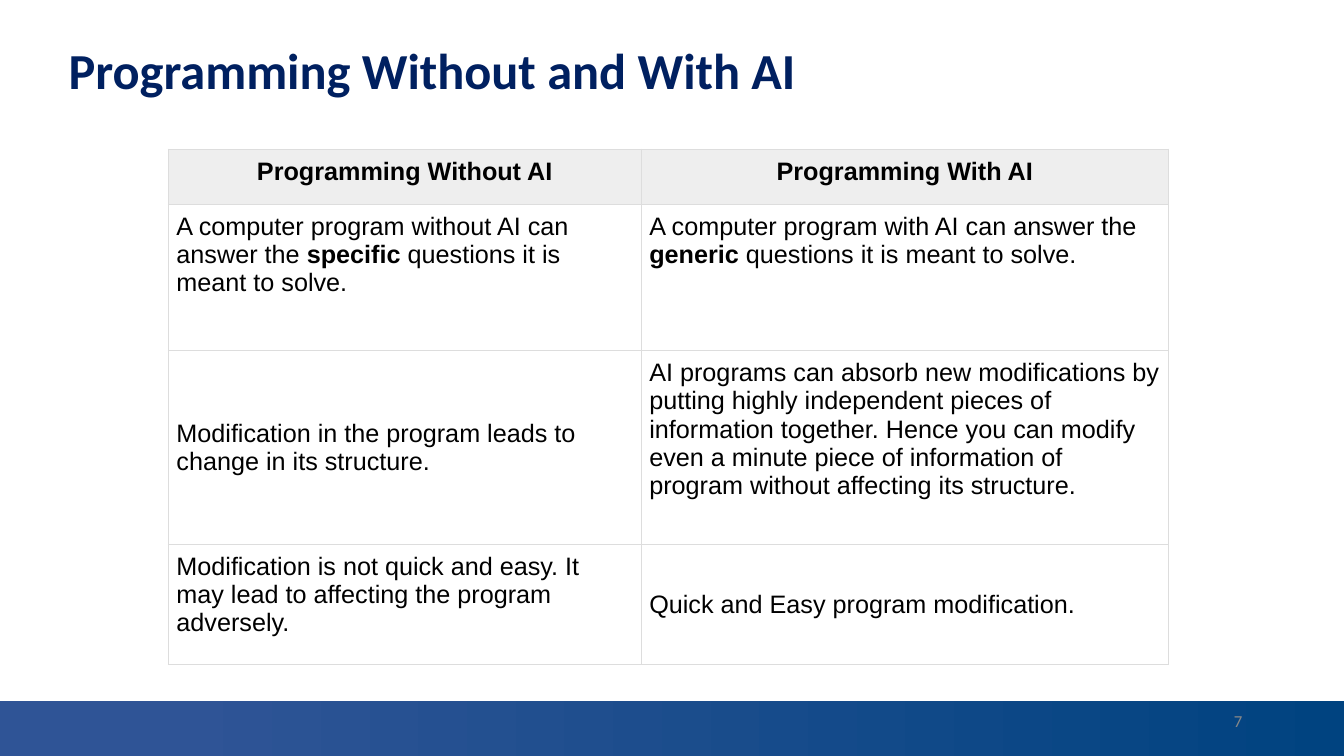
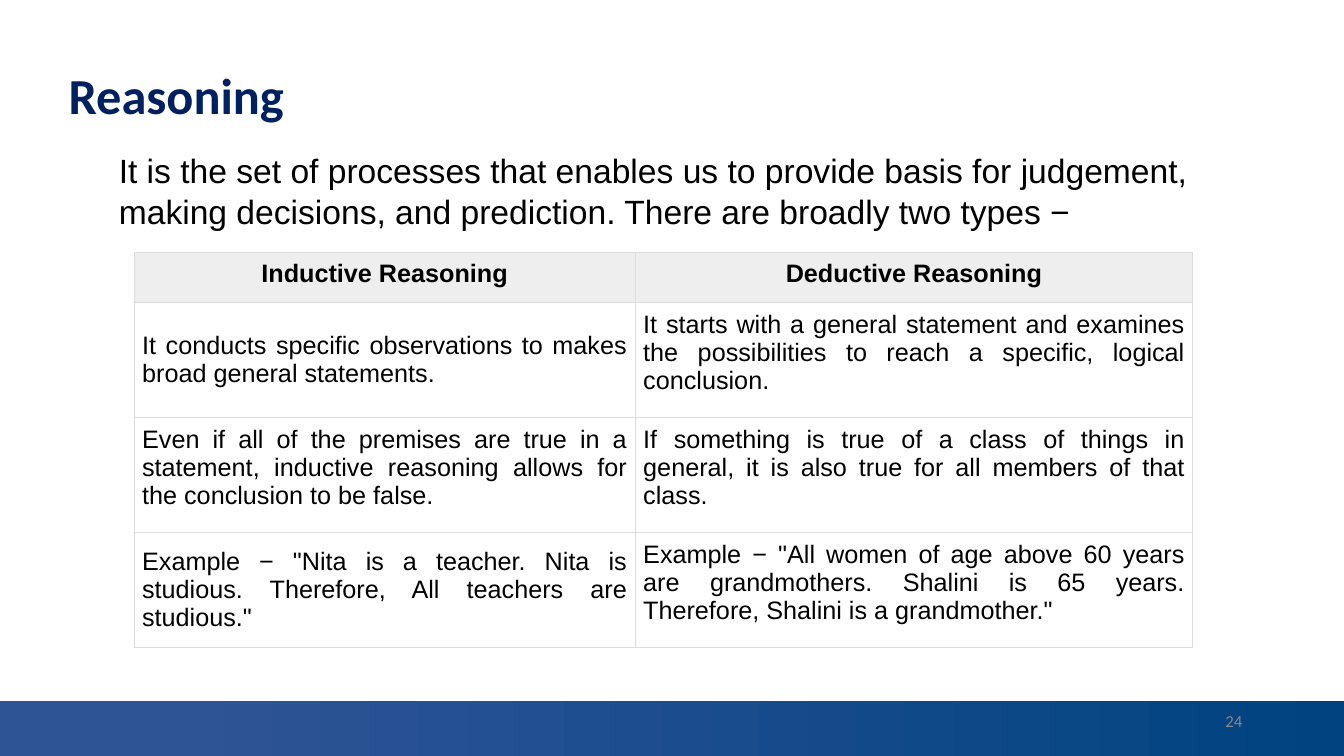
from dataclasses import dataclass

import pptx
import pptx.dml.color
import pptx.enum.shapes
import pptx.enum.text
import pptx.oxml
import pptx.oxml.ns
import pptx.util

Inches, Pt = pptx.util.Inches, pptx.util.Pt
ALIGN = pptx.enum.text.PP_ALIGN
ANCHOR = pptx.enum.text.MSO_ANCHOR


@dataclass(frozen=True)
class Theme:
    heading_font: str = "Calibri"
    text_font: str = "Arial"
    title_color: str = "002060"
    text_color: str = "000000"
    number_color: str = "888888"
    band_start: str = "2F5496"
    band_end: str = "004380"
    header_fill: str = "EEEEEE"
    border: str = "DDDDDD"
    title_size: int = 36
    intro_size: int = 24
    table_size: int = 18
    number_size: int = 12
    border_width: float = 0.75
    cell_margin: float = 0.08


THEME = Theme()
SLIDE_WIDTH, SLIDE_HEIGHT = 13.33, 7.5
BAND_TOP = 6.95

# Text between ** marks is bold; "middle" lists the (row, column) cells centred vertically.
SLIDES = [
    {
        "title": "Programming Without and With AI",
        "title_top": 0,
        "number": "7",
        "table": {
            "left": 1.67, "top": 1.48,
            "columns": [4.69, 5.23],
            "heights": [0.55, 1.45, 1.92, 1.19],
            "align": ALIGN.LEFT,
            "middle": {(2, 0), (3, 1)},
            "rows": [
                ("Programming Without AI", "Programming With AI"),
                ("A computer program without AI can answer the **specific** questions it is meant to solve.",
                 "A computer program with AI can answer the **generic** questions it is meant to solve."),
                ("Modification in the program leads to change in its structure.",
                 "AI programs can absorb new modifications by putting highly independent pieces of "
                 "information together. Hence you can modify even a minute piece of information of "
                 "program without affecting its structure."),
                ("Modification is not quick and easy. It may lead to affecting the program adversely.",
                 "Quick and Easy program modification."),
            ],
        },
    },
    {
        "title": "Reasoning",
        "title_top": 0.25,
        "number": "24",
        "intro": "It is the set of processes that enables us to provide basis for judgement, "
                 "making decisions, and prediction. There are broadly two types −",
        "table": {
            "left": 1.33, "top": 2.5,
            "columns": [4.97, 5.53],
            "heights": [0.5, 1.14, 1.14, 1.14],
            "align": ALIGN.JUSTIFY,
            "middle": {(1, 0), (3, 0)},
            "rows": [
                ("Inductive Reasoning", "Deductive Reasoning"),
                ("It conducts specific observations to makes broad general statements.",
                 "It starts with a general statement and examines the possibilities to reach a "
                 "specific, logical conclusion."),
                ("Even if all of the premises are true in a statement, inductive reasoning allows "
                 "for the conclusion to be false.",
                 "If something is true of a class of things in general, it is also true for all "
                 "members of that class."),
                ('Example − "Nita is a teacher. Nita is studious. Therefore, All teachers are studious."',
                 'Example − "All women of age above 60 years are grandmothers. Shalini is 65 years. '
                 'Therefore, Shalini is a grandmother."'),
            ],
        },
    },
]


def rgb(color):
    return pptx.dml.color.RGBColor.from_string(color)


def add_run(paragraph, text, font, size, color, bold=False):
    run = paragraph.add_run()
    run.text = text
    run.font.name = font
    run.font.size = Pt(size)
    run.font.color.rgb = rgb(color)
    run.font.bold = bold


def move_band_to_master(prs, slide):
    """Draw the bottom band on a slide, then hand it to the master that all slides share."""
    band = slide.shapes.add_shape(
        pptx.enum.shapes.MSO_SHAPE.RECTANGLE, 0, Inches(BAND_TOP),
        prs.slide_width, Inches(SLIDE_HEIGHT - BAND_TOP))
    band.shadow.inherit = False
    band.line.fill.background()
    band.fill.gradient()
    band.fill.gradient_angle = 0
    stops = ((0.13, THEME.band_start), (1, THEME.band_end))
    for stop, (position, color) in zip(band.fill.gradient_stops, stops):
        stop.position = position
        stop.color.rgb = rgb(color)
    prs.slide_master.element.cSld.spTree.insert(2, band.element)


def set_title(slide, text, top):
    title = slide.shapes.title
    title.left, title.top = Inches(0.58), Inches(top)
    title.width, title.height = Inches(11.5), Inches(1.45)
    frame = title.text_frame
    frame.auto_size = pptx.enum.text.MSO_AUTO_SIZE.NONE
    frame.vertical_anchor = ANCHOR.MIDDLE
    paragraph = frame.paragraphs[0]
    paragraph.alignment = ALIGN.LEFT
    paragraph.line_spacing = 0.9
    add_run(paragraph, text, THEME.heading_font, THEME.title_size, THEME.title_color, True)


def add_text_box(slide, left, top, width, height):
    frame = slide.shapes.add_textbox(
        Inches(left), Inches(top), Inches(width), Inches(height)).text_frame
    frame.word_wrap = True
    return frame


def add_number(slide, number):
    frame = add_text_box(slide, 9.42, BAND_TOP, 3, 0.4)
    frame.vertical_anchor = ANCHOR.MIDDLE
    frame.paragraphs[0].alignment = ALIGN.RIGHT
    add_run(frame.paragraphs[0], number, THEME.heading_font, THEME.number_size, THEME.number_color)


def add_intro(slide, text):
    frame = add_text_box(slide, 1.08, 1.44, 10.92, 1.14)
    add_run(frame.paragraphs[0], text, THEME.text_font, THEME.intro_size, THEME.text_color)


def add_borders(cell):
    properties = cell._tc.get_or_add_tcPr()
    for side in ("lnL", "lnR", "lnT", "lnB"):
        properties.append(pptx.oxml.parse_xml(
            f'<a:{side} {pptx.oxml.ns.nsdecls("a")} w="{Pt(THEME.border_width)}">'
            f'<a:solidFill><a:srgbClr val="{THEME.border}"/></a:solidFill></a:{side}>'))


def fill_cell(cell, text, header, align, middle):
    add_borders(cell)  # border elements come before the fill in a cell
    if header:
        cell.fill.solid()
        cell.fill.fore_color.rgb = rgb(THEME.header_fill)
    else:
        cell.fill.background()
    cell.margin_left = cell.margin_right = Inches(THEME.cell_margin)
    cell.margin_top = cell.margin_bottom = Inches(THEME.cell_margin)
    cell.vertical_anchor = ANCHOR.MIDDLE if middle else ANCHOR.TOP
    paragraph = cell.text_frame.paragraphs[0]
    paragraph.alignment = ALIGN.CENTER if header else align
    for index, piece in enumerate(text.split("**")):
        add_run(paragraph, piece, THEME.text_font, THEME.table_size, THEME.text_color,
                header or index % 2 == 1)


def add_comparison(slide, content):
    columns, heights = content["columns"], content["heights"]
    table = slide.shapes.add_table(
        len(heights), len(columns), Inches(content["left"]), Inches(content["top"]),
        Inches(sum(columns)), Inches(sum(heights))).table
    table.horz_banding = False
    for column, width in zip(table.columns, columns):
        column.width = Inches(width)
    for row, height in zip(table.rows, heights):
        row.height = Inches(height)
    for r, texts in enumerate(content["rows"]):
        for c, text in enumerate(texts):
            fill_cell(table.cell(r, c), text, r == 0, content["align"],
                      (r, c) in content["middle"])


def main():
    prs = pptx.Presentation()
    prs.slide_width, prs.slide_height = Inches(SLIDE_WIDTH), Inches(SLIDE_HEIGHT)
    title_only = prs.slide_layouts.get_by_name("Title Only")
    for content in SLIDES:
        slide = prs.slides.add_slide(title_only)
        set_title(slide, content["title"], content["title_top"])
        add_number(slide, content["number"])
        if "intro" in content:
            add_intro(slide, content["intro"])
        add_comparison(slide, content["table"])
    move_band_to_master(prs, prs.slides[0])
    prs.save("out.pptx")


if __name__ == "__main__":
    main()
